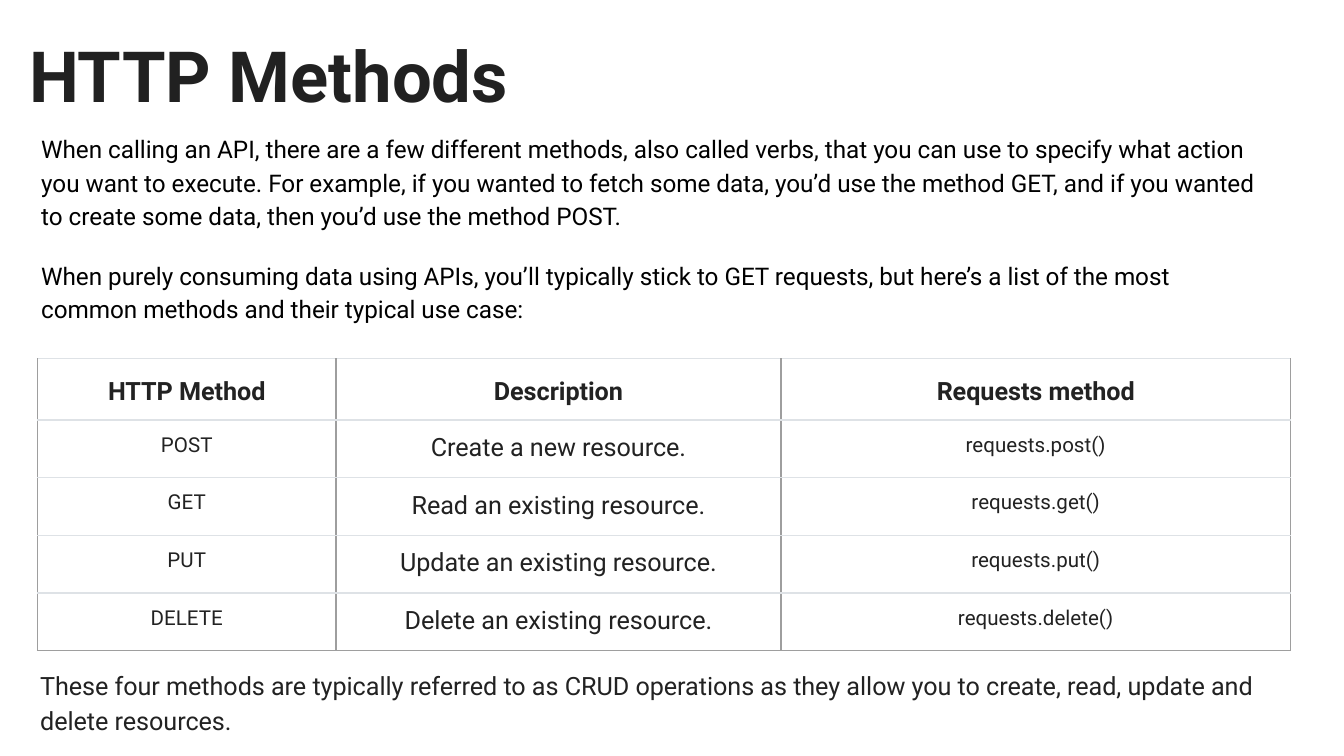
from lxml.etree import SubElement
from pptx import Presentation
from pptx.dml.color import RGBColor
from pptx.enum.text import MSO_ANCHOR as Anchor, PP_ALIGN as Align
from pptx.oxml.ns import qn
from pptx.util import Cm, Pt

INK = "222222"
GREY = "9E9E9E"
PALE = "DEE2E6"
INSET = Cm(0.25)

INTRO = [
    "When calling an API, there are a few different methods, also called verbs, that you can use to "
    "specify what action you want to execute. For example, if you wanted to fetch some data, you’d use "
    "the method GET, and if you wanted to create some data, then you’d use the method POST.",
    "When purely consuming data using APIs, you’ll typically stick to GET requests, but here’s a list "
    "of the most common methods and their typical use case:",
]
NOTE = ("These four methods are typically referred to as CRUD operations as they allow you to create, "
        "read, update and delete resources.")
METHODS = [
    ("HTTP Method", "Description", "Requests method"),
    ("POST", "Create a new resource.", "requests.post()"),
    ("GET", "Read an existing resource.", "requests.get()"),
    ("PUT", "Update an existing resource.", "requests.put()"),
    ("DELETE", "Delete an existing resource.", "requests.delete()"),
]
COLUMN_WIDTHS = (5.64, 8.41, 9.63)
ROW_HEIGHT = 1.09


def color(value):
    """Turn a hex string into a colour."""
    return RGBColor.from_string(value)


def write(para, text, size=13.5, ink=INK, bold=False, align=Align.LEFT, spacing=1.0, before=0):
    """Put formatted text into a paragraph."""
    para.alignment = align
    para.line_spacing = spacing
    para.space_before = Pt(before)
    span = para.add_run()
    span.text = text
    span.font.name = "Roboto"
    span.font.size = Pt(size)
    span.font.bold = bold
    span.font.color.rgb = color(ink)


def add_text(page, area, texts, anchor=Anchor.TOP, gap=0, **style):
    """Add a text box with one paragraph per text and a gap between them."""
    frame = page.shapes.add_textbox(*map(Cm, area)).text_frame
    frame.word_wrap = True
    frame.vertical_anchor = anchor
    frame.margin_left = frame.margin_right = frame.margin_top = frame.margin_bottom = INSET
    for index, text in enumerate(texts):
        para = frame.add_paragraph() if index else frame.paragraphs[0]
        write(para, text, before=gap if index else 0, **style)


def set_borders(cell, top, bottom):
    """Draw the four borders of a cell; top and bottom are (hex, points)."""
    properties = cell._tc.get_or_add_tcPr()
    sides = {"L": (GREY, 0.75), "R": (GREY, 0.75), "T": top, "B": bottom}
    for side, (ink, width) in sides.items():
        line = SubElement(properties, qn(f"a:ln{side}"), w=str(Pt(width)))
        fill = SubElement(line, qn("a:solidFill"))
        SubElement(fill, qn("a:srgbClr"), val=ink)


def add_methods(page, left, top):
    """Add the table of HTTP methods."""
    table = page.shapes.add_table(
        len(METHODS), len(COLUMN_WIDTHS), Cm(left), Cm(top),
        Cm(sum(COLUMN_WIDTHS)), Cm(ROW_HEIGHT * len(METHODS))).table
    for column, width in zip(table.columns, COLUMN_WIDTHS):
        column.width = Cm(width)
    rules = [(PALE, 0.75), (PALE, 1.5)] + [(PALE, 0.75)] * 3 + [(GREY, 0.75)]
    for row, texts in enumerate(METHODS):
        table.rows[row].height = Cm(ROW_HEIGHT)
        header = row == 0
        for column, text in enumerate(texts):
            cell = table.cell(row, column)
            cell.margin_left = cell.margin_right = cell.margin_top = cell.margin_bottom = INSET
            cell.vertical_anchor = Anchor.BOTTOM if header else Anchor.TOP
            set_borders(cell, rules[row], rules[row + 1])
            cell.fill.background()
            write(cell.text_frame.paragraphs[0], text, size=13.5 if header or column == 1 else 11,
                  bold=header, align=Align.CENTER, spacing=1.15 if header else 1.0)


def main():
    """Build and save the deck."""
    deck = Presentation()
    deck.slide_width, deck.slide_height = Cm(25.4), Cm(14.29)
    page = deck.slides.add_slide(deck.slide_layouts[6])
    add_text(page, (0.3, 0.28, 23.67, 2.24), ["HTTP Methods"], anchor=Anchor.MIDDLE,
             size=37.8, ink="212121", bold=True)
    add_text(page, (0.53, 2.21, 23.67, 4.11), INTRO, gap=14, size=13, ink="000000", spacing=1.15)
    add_methods(page, 0.71, 6.78)
    add_text(page, (0.51, 12.34, 24.16, 1.75), [NOTE], spacing=1.15)
    deck.save("out.pptx")


if __name__ == "__main__":
    main()
